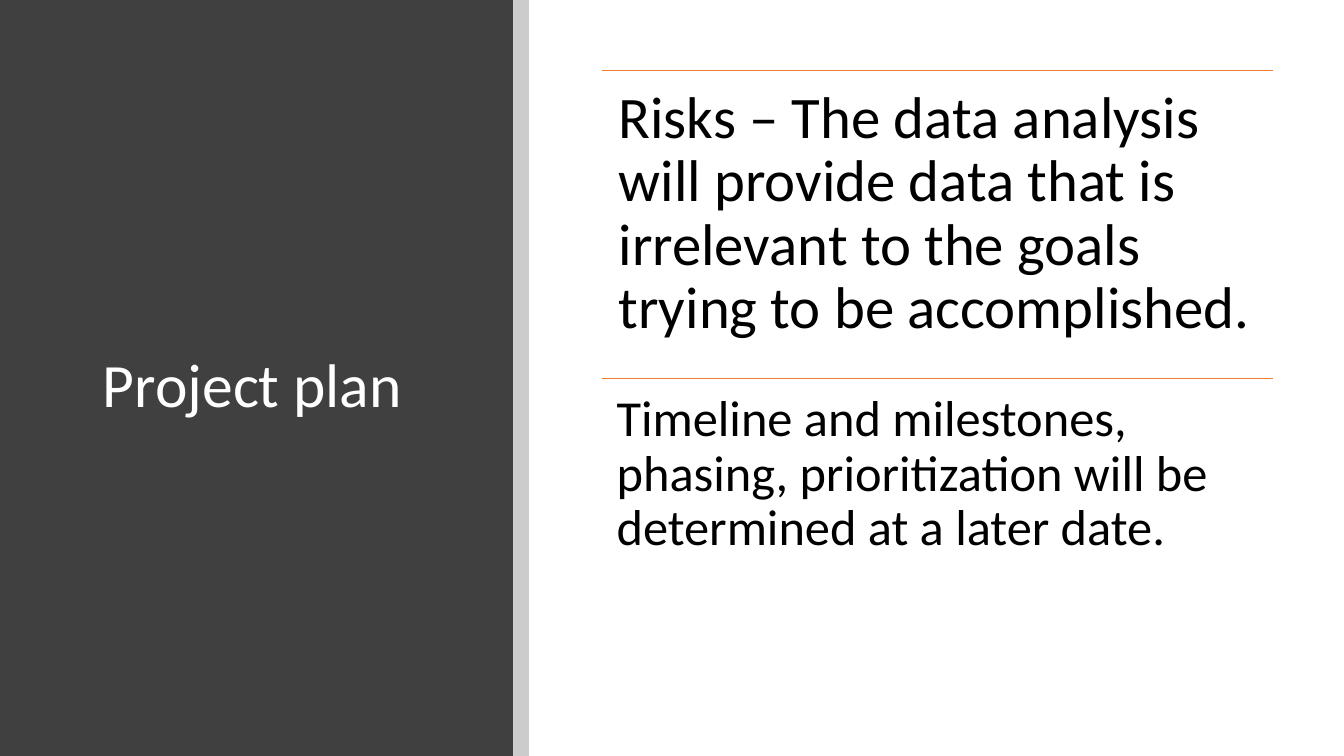
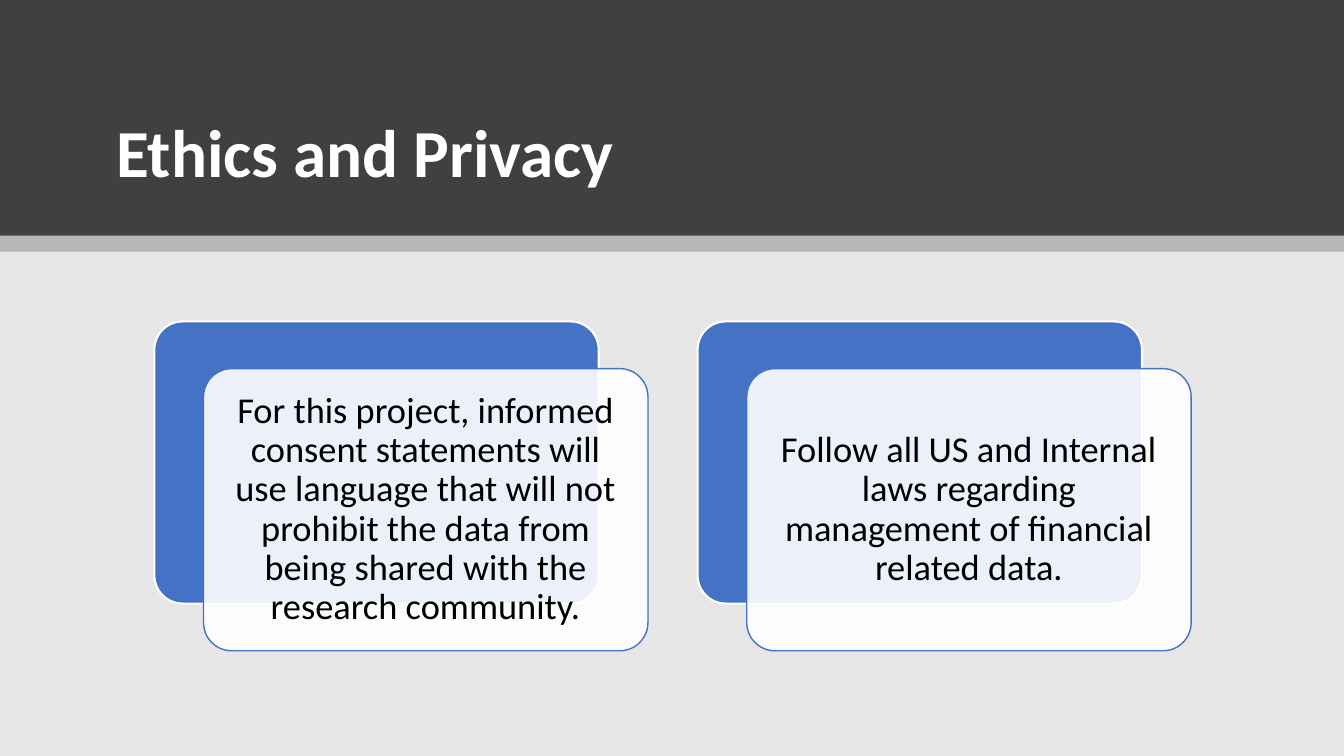
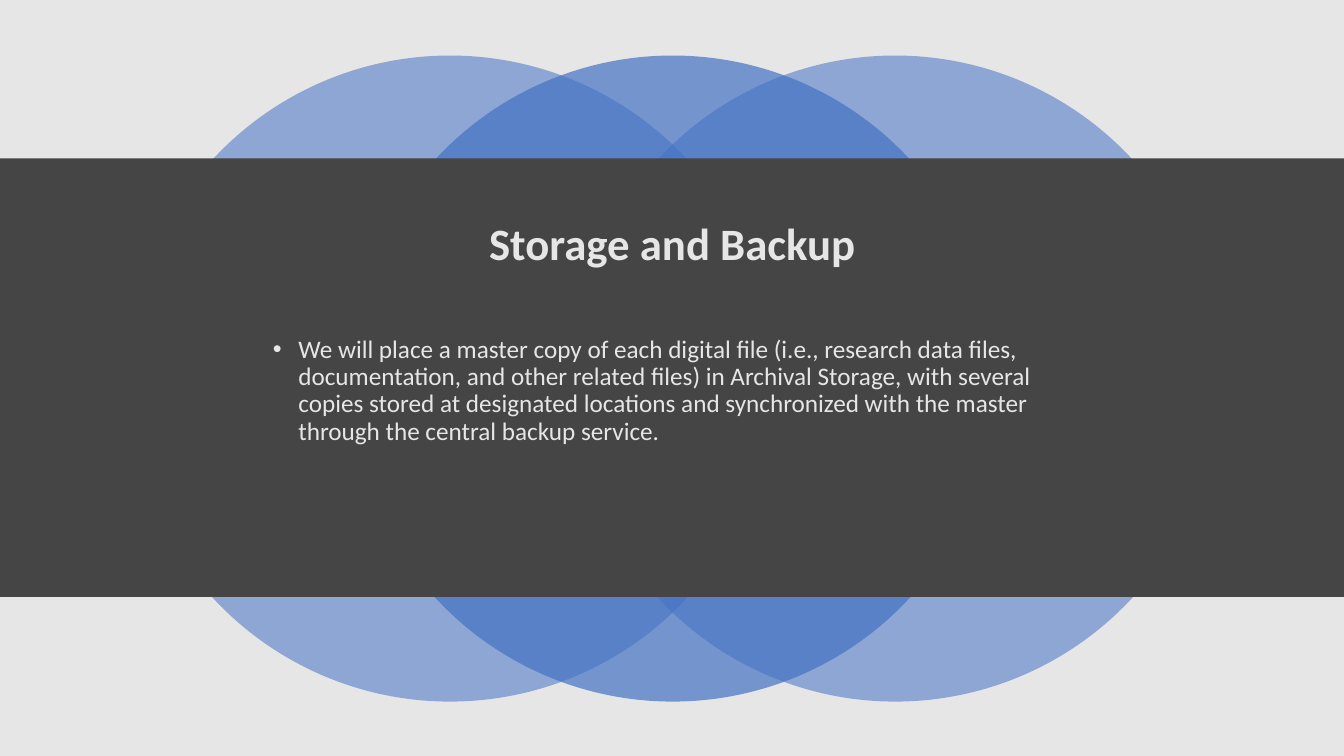
from dataclasses import dataclass

from lxml.etree import SubElement
from pptx import Presentation
from pptx.dml.color import RGBColor
from pptx.enum.shapes import MSO_CONNECTOR, MSO_SHAPE
from pptx.enum.text import MSO_ANCHOR, MSO_AUTO_SIZE, PP_ALIGN
from pptx.oxml.ns import qn
from pptx.util import Cm, Pt


@dataclass(frozen=True)
class Theme:
    font: str = "Calibri"
    dark: str = "404040"
    band: str = "454545"
    pale: str = "E7E6E6"
    white: str = "FFFFFF"
    black: str = "000000"
    blue: str = "4472C4"
    orange: str = "ED7D31"
    side_size: int = 44
    head_size: int = 48
    mid_size: int = 32
    risk_size: int = 42
    plan_size: int = 36
    card_size: int = 26
    body_size: int = 18


THEME = Theme()
WIDTH, HEIGHT = 33.87, 19.05
STRIP = 0.4


def rgb(code):
    return RGBColor.from_string(code)


def place(box):
    return [Cm(value) for value in box]


def new_slide(deck, color):
    slide = deck.slides.add_slide(deck.slide_layouts[5])
    fill = slide.background.fill
    fill.solid()
    fill.fore_color.rgb = rgb(color)
    return slide


def write(shape, text, size, color, align=PP_ALIGN.LEFT, anchor=MSO_ANCHOR.TOP,
          bold=False, inset=None):
    """Fill a shape with one styled paragraph, and return the paragraph."""
    frame = shape.text_frame
    frame.text = text
    frame.word_wrap = True
    frame.auto_size = MSO_AUTO_SIZE.NONE
    frame.vertical_anchor = anchor
    if inset is not None:
        frame.margin_left = frame.margin_right = Cm(inset)
        frame.margin_top = frame.margin_bottom = Cm(inset)
    para = frame.paragraphs[0]
    para.alignment = align
    para.line_spacing = 0.9
    for run in para.runs:
        run.font.name = THEME.font
        run.font.size = Pt(size)
        run.font.bold = bold
        run.font.color.rgb = rgb(color)
    return para


def add_title(slide, box, text, size, color, **style):
    title = slide.shapes.title
    title.left, title.top, title.width, title.height = place(box)
    write(title, text, size, color, **style)
    # The title stands in front of the bands drawn so far.
    title.element.getparent().append(title.element)


def add_text(slide, box, text, size, color, **style):
    return write(slide.shapes.add_textbox(*place(box)), text, size, color, **style)


def add_form(slide, kind, box, color, alpha=100, line=None, weight=1):
    """Add a flat preset shape; alpha is its opacity in percent."""
    form = slide.shapes.add_shape(kind, *place(box))
    form.shadow.inherit = False
    form.fill.solid()
    form.fill.fore_color.rgb = rgb(color)
    if alpha < 100:
        tint = form.element.spPr.find(f"{qn('a:solidFill')}/{qn('a:srgbClr')}")
        SubElement(tint, qn("a:alpha"), val=str(alpha * 1000))
    if line:
        form.line.color.rgb = rgb(line)
        form.line.width = Pt(weight)
    else:
        form.line.fill.background()
    return form


def add_band(slide, box, color, alpha=100):
    add_form(slide, MSO_SHAPE.RECTANGLE, box, color, alpha)


def add_rule(slide, left, top, width):
    rule = slide.shapes.add_connector(
        MSO_CONNECTOR.STRAIGHT, *place((left, top, left + width, top)))
    rule.line.color.rgb = rgb(THEME.orange)
    rule.line.width = Pt(0.5)
    SubElement(rule.element.spPr, qn("a:effectLst"))


def add_card(slide, left, top, text):
    """Add a white text card set off from a blue one behind it."""
    width, height = 11.2, 7.11
    back = add_form(slide, MSO_SHAPE.ROUNDED_RECTANGLE, (left, top, width, height),
                    THEME.blue, line=THEME.white, weight=1.5)
    front = add_form(slide, MSO_SHAPE.ROUNDED_RECTANGLE,
                     (left + 1.24, top + 1.19, width, height),
                     THEME.white, alpha=90, line=THEME.blue)
    for card in (back, front):
        card.adjustments[0] = 0.1
    write(front, text, THEME.card_size, THEME.black, align=PP_ALIGN.CENTER,
          anchor=MSO_ANCHOR.MIDDLE, inset=0.28)


def add_bullet(para, indent):
    props = para._p.get_or_add_pPr()
    props.set("marL", str(Cm(indent)))
    props.set("indent", str(-Cm(indent)))
    SubElement(props, qn("a:buFont"), typeface="Arial")
    SubElement(props, qn("a:buChar"), char="•")


def plan_slide(deck):
    slide = new_slide(deck, THEME.white)
    side = 12.93
    add_band(slide, (0, 0, side, HEIGHT), THEME.dark)
    add_band(slide, (side, 0, STRIP, HEIGHT), THEME.black, alpha=20)
    add_title(slide, (2.34, 2.26, 9.27, 15.01), "Project plan",
              THEME.side_size, THEME.white, anchor=MSO_ANCHOR.MIDDLE)
    items = [
        ("Risks – The data analysis will provide data that is irrelevant to the "
         "goals trying to be accomplished.", THEME.risk_size, 0.43),
        ("Timeline and milestones, phasing, prioritization will be determined "
         "at a later date.", THEME.plan_size, 0.38),
    ]
    left, width, step = 15.16, 16.92, 7.75
    for index, (text, size, inset) in enumerate(items):
        top = 1.78 + index * step
        add_rule(slide, left, top, width)
        add_text(slide, (left, top, width, step), text, size, THEME.black,
                 inset=inset)


def ethics_slide(deck):
    slide = new_slide(deck, THEME.pale)
    head = 5.94
    add_band(slide, (0, 0, WIDTH, head), THEME.dark)
    add_band(slide, (0, head, WIDTH, STRIP), THEME.black, alpha=20)
    add_title(slide, (2.67, 1.19, 28.55, 3.78), "Ethics and Privacy",
              THEME.head_size, THEME.white, anchor=MSO_ANCHOR.BOTTOM, bold=True)
    cards = [
        "For this project, informed consent statements will use language that "
        "will not prohibit the data from being shared with the research community.",
        "Follow all US and Internal laws regarding management of financial "
        "related data.",
    ]
    for index, text in enumerate(cards):
        add_card(slide, 3.89 + index * 13.69, 8.1, text)


def storage_slide(deck):
    slide = new_slide(deck, THEME.pale)
    size, step = 16.28, 5.61
    for index, alpha in ((0, 55), (2, 55), (1, 70)):
        add_form(slide, MSO_SHAPE.OVAL, (3.2 + index * step, 1.4, size, size),
                 THEME.blue, alpha)
    add_band(slide, (0, 3.99, WIDTH, 11.05), THEME.band)
    add_title(slide, (2.34, 4.9, 29.21, 2.59), "Storage and Backup",
              THEME.mid_size, THEME.pale, align=PP_ALIGN.CENTER,
              anchor=MSO_ANCHOR.MIDDLE, bold=True)
    para = add_text(
        slide, (6.63, 8.36, 20.62, 5.87),
        "We will place a master copy of each digital file (i.e., research data "
        "files, documentation, and other related files) in Archival Storage, with "
        "several copies stored at designated locations and synchronized with the "
        "master through the central backup service.",
        THEME.body_size, THEME.pale)
    add_bullet(para, 0.64)


def main():
    deck = Presentation()
    deck.slide_width, deck.slide_height = Cm(WIDTH), Cm(HEIGHT)
    plan_slide(deck)
    ethics_slide(deck)
    storage_slide(deck)
    deck.save("out.pptx")


if __name__ == "__main__":
    main()
